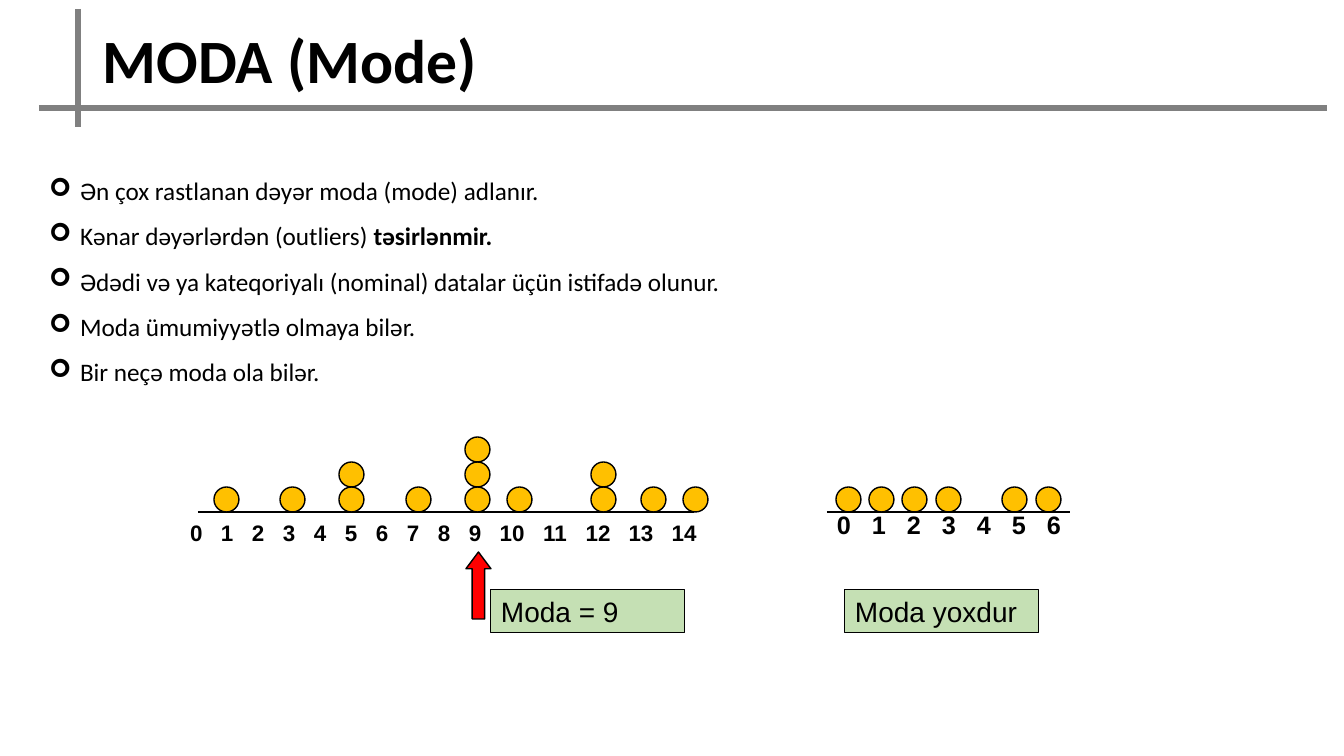
from lxml.etree import SubElement
from pptx import Presentation
from pptx.dml.color import RGBColor
from pptx.enum.shapes import MSO_CONNECTOR as Connector, MSO_SHAPE as Shape
from pptx.enum.text import MSO_ANCHOR as Anchor, PP_ALIGN as Align
from pptx.oxml.ns import qn
from pptx.util import Pt

PX = 12192000 / 1344
COLORS = {"text": "000000", "rule": "808080", "dot": "FFC000",
          "arrow": "FF0000", "note": "C5E0B4"}

deck = Presentation()
deck.slide_width, deck.slide_height = round(1344 * PX), round(756 * PX)
page = deck.slides.add_slide(deck.slide_layouts[6])


def add_block(left, top, width, height, shape=None, fill=None, line=1):
    area = [round(n * PX) for n in (left, top, width, height)]
    if shape is None:
        box = page.shapes.add_textbox(*area)
    else:
        box = page.shapes.add_shape(shape, *area)
        box.shadow.inherit = False
        box.fill.solid()
        box.fill.fore_color.rgb = RGBColor.from_string(COLORS[fill])
        box.line.color.rgb = RGBColor.from_string(COLORS["text"])
        box.line.width = Pt(line)
    return box


def write(box, lines, size, font="Arial", bold=False, spacing=None, bullet=None, tabs=()):
    frame = box.text_frame
    frame.word_wrap = True
    frame.vertical_anchor = Anchor.TOP
    frame.margin_left = frame.margin_right = round(10 * PX)
    frame.margin_top = frame.margin_bottom = round(5 * PX)
    for index, spans in enumerate(lines):
        para = frame.add_paragraph() if index else frame.paragraphs[0]
        para.alignment = Align.LEFT
        para.line_spacing = spacing
        settings = para._p.get_or_add_pPr()
        if bullet:
            indent = round(31 * PX)
            settings.set("marL", str(indent))
            settings.set("indent", str(-indent))
            SubElement(settings, qn("a:buFont"), typeface="Wingdings")
            SubElement(settings, qn("a:buChar"), char=bullet)
        if tabs:
            stops = SubElement(settings, qn("a:tabLst"))
            for stop in tabs:
                SubElement(stops, qn("a:tab"), pos=str(round(stop * PX)), algn="ctr")
        for text, strong in spans:
            span = para.add_run()
            span.text = text
            span.font.name = font
            span.font.size = Pt(size)
            span.font.bold = bold or strong
            span.font.color.rgb = RGBColor.from_string(COLORS["text"])


write(add_block(93, 17, 724, 85), [[("MODA (Mode)", True)]], 44, "Calibri")

for x1, y1, x2, y2, color, weight in [
    (39, 108, 1327, 108, "rule", 4.5),
    (78, 9, 78, 127, "rule", 4.5),
    (198, 512, 568, 512, "text", 1),
    (550, 512, 694, 512, "text", 1),
    (827, 512, 1070, 512, "text", 1),
]:
    ends = [round(n * PX) for n in (x1, y1, x2, y2)]
    rule = page.shapes.add_connector(Connector.STRAIGHT, *ends)
    rule.line.color.rgb = RGBColor.from_string(COLORS[color])
    rule.line.width = Pt(weight)
    SubElement(rule._element.spPr, qn("a:effectLst"))

facts = [
    [("Ən çox rastlanan dəyər moda (mode) adlanır.", False)],
    [("Kənar dəyərlərdən (outliers) ", False), ("təsirlənmir.", True)],
    [("Ədədi və ya kateqoriyalı (nominal) datalar üçün istifadə olunur.", False)],
    [("Moda ümumiyyətlə olmaya bilər.", False)],
    [("Bir neçə moda ola bilər.", False)],
]
write(add_block(39, 155, 792, 235), facts, 18, "Calibri", spacing=1.5, bullet="➢")

wide_stops = [6 + 31 * n for n in range(1, 10)] + [322 + 43 * n for n in range(5)]
narrow_stops = [7 + 35 * n for n in range(1, 7)]
for left, top, width, size, stops in [
    (180, 514, 597, 16, wide_stops),
    (827, 504, 279, 18, narrow_stops),
]:
    numbers = "\t".join(str(n) for n in range(len(stops) + 1))
    write(add_block(left, top, width, 40), [[(numbers, True)]], size, tabs=stops)

DOT = 25
dot_stacks = [(214, 1), (280, 1), (339, 2), (406, 1), (465, 3), (507, 1), (591, 2),
              (641, 1), (683, 1), (836, 1), (869, 1), (902, 1), (936, 1),
              (1002, 1), (1036, 1)]
for left, count in dot_stacks:
    for level in range(count):
        add_block(left, 487 - DOT * level, DOT, DOT, Shape.OVAL, "dot")

arrow = add_block(466, 552, 25, 67, Shape.UP_ARROW, "arrow")
arrow.adjustments[0], arrow.adjustments[1] = 0.5, 0.67

for left, note in [(491, "Moda = 9"), (845, "Moda yoxdur")]:
    box = add_block(left, 590, 194, 43, Shape.RECTANGLE, "note", 0.75)
    write(box, [[(note, False)]], 20)

deck.save("out.pptx")
